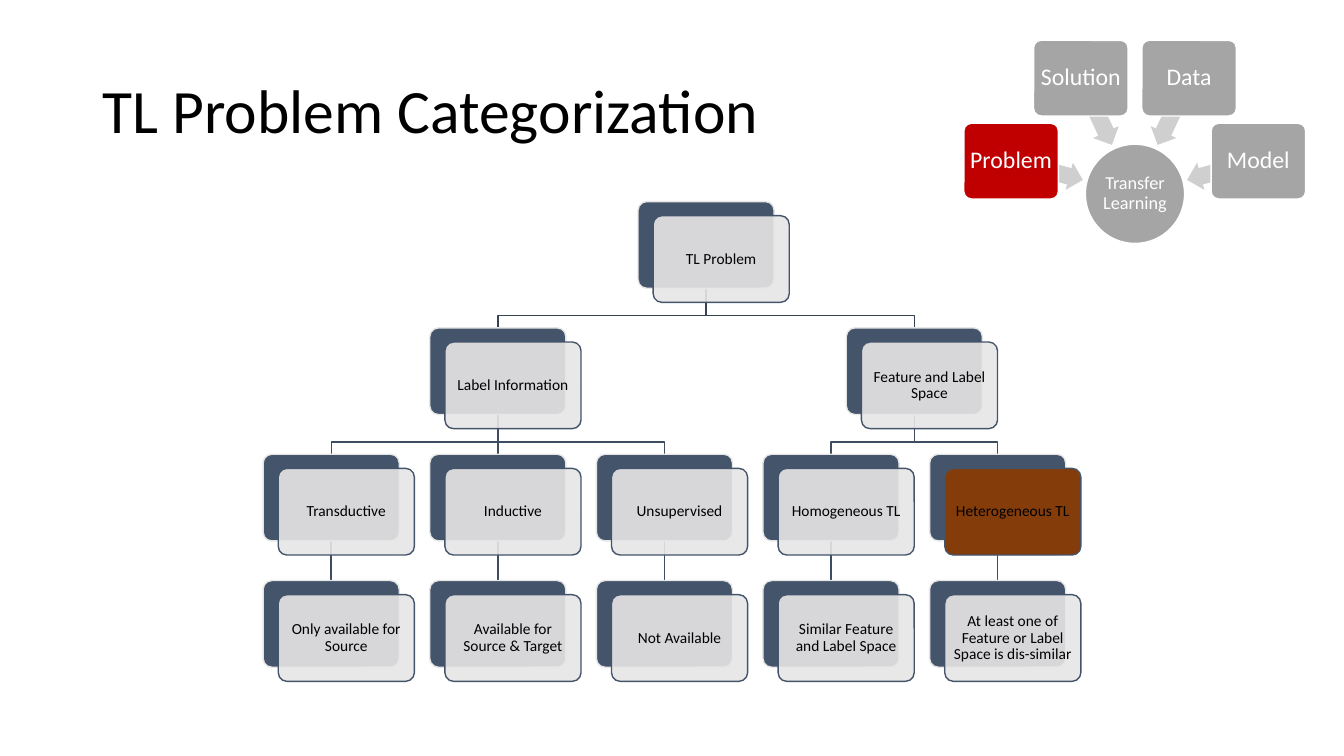
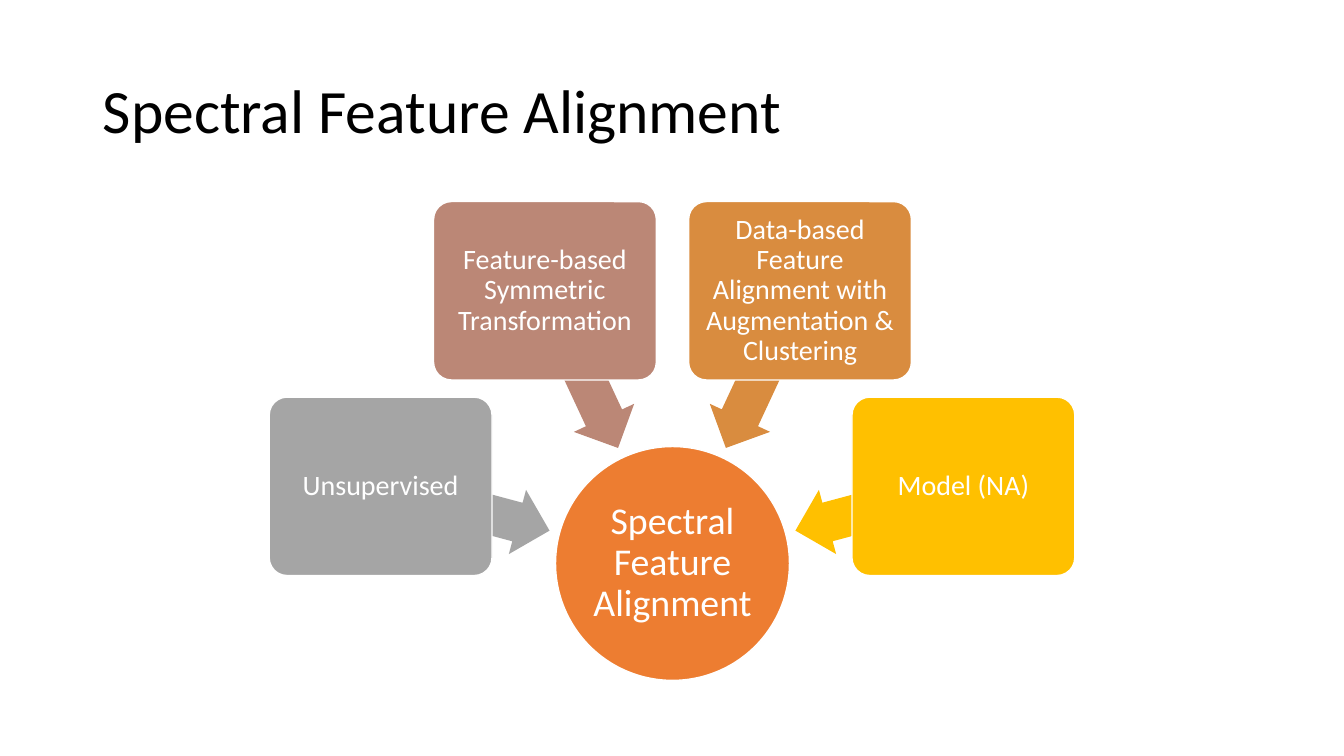
import lxml.etree
import pptx
import pptx.dml.color
import pptx.enum.shapes
import pptx.enum.text
import pptx.oxml.ns
import pptx.util

Inches = pptx.util.Inches
SHAPES = pptx.enum.shapes.MSO_SHAPE
ALIGN = pptx.enum.text.PP_ALIGN

FONT = "Calibri"
COLORS = {
    "black": "000000", "white": "FFFFFF", "slate": "44546A", "mist": "E7E6E6",
    "root_link": "364355", "link": "3E4C60", "brown": "843C0B",
    "red": "C00000", "gray": "A5A5A5", "pale": "CFCFCF",
    "orange": "ED7D31", "rose": "BB8776", "amber": "D98C3F", "gold": "FFC000",
}

# Tree nodes: column, row, label; the column may lie between two leaves
TREE_NODES = {
    "root": (2.25, 0, "TL Problem"),
    "label": (1, 1, "Label Information"),
    "space": (3.5, 1, "Feature and Label Space"),
    "transductive": (0, 2, "Transductive"),
    "inductive": (1, 2, "Inductive"),
    "unsupervised": (2, 2, "Unsupervised"),
    "homogeneous": (3, 2, "Homogeneous TL"),
    "heterogeneous": (4, 2, "Heterogeneous TL"),
    "source": (0, 3, "Only available for Source"),
    "both": (1, 3, "Available for Source & Target"),
    "none": (2, 3, "Not Available"),
    "similar": (3, 3, "Similar Feature and Label Space"),
    "dissimilar": (4, 3, "At least one of Feature or Label Space is dis-similar"),
}
TREE_LINKS = {
    "root": ["label", "space"],
    "label": ["transductive", "inductive", "unsupervised"],
    "space": ["homogeneous", "heterogeneous"],
    "transductive": ["source"],
    "inductive": ["both"],
    "unsupervised": ["none"],
    "homogeneous": ["similar"],
    "heterogeneous": ["dissimilar"],
}

# Radial diagram at full width: card corner, arrow corner, arrow rotation
RADIAL_WIDTH = 7.99
RADIAL_SPOTS = [
    ((0, 1.94), (1.08, 2.71), 195),
    ((1.63, 0), (2.23, 1.33), 245),
    ((4.16, 0), (4.03, 1.33), 295),
    ((5.78, 1.94), (5.19, 2.71), 345),
]


def rgb(name):
    return pptx.dml.color.RGBColor.from_string(COLORS[name])


def write_text(frame, text, size, color, align):
    frame.word_wrap = True
    frame.auto_size = pptx.enum.text.MSO_AUTO_SIZE.NONE
    frame.vertical_anchor = pptx.enum.text.MSO_ANCHOR.MIDDLE
    para = frame.paragraphs[0]
    para.alignment = align
    para.line_spacing = 0.9
    span = para.add_run()
    span.text = text
    span.font.name = FONT
    span.font.size = pptx.util.Pt(size)
    span.font.color.rgb = rgb(color)


def set_line(shape, color):
    shape.line.color.rgb = rgb(color)
    shape.line.width = pptx.util.Pt(1)


def add_block(page, kind, box, fill, line=None, adjust=()):
    block = page.shapes.add_shape(kind, *[Inches(value) for value in box])
    block.shadow.inherit = False
    block.fill.solid()
    block.fill.fore_color.rgb = rgb(fill)
    if line:
        set_line(block, line)
    else:
        block.line.fill.background()
    for index, value in enumerate(adjust):
        block.adjustments[index] = value
    return block


def add_label(block, text, size, color, margin):
    frame = block.text_frame
    frame.margin_left = frame.margin_right = Inches(margin)
    frame.margin_top = frame.margin_bottom = Inches(margin)
    write_text(frame, text, size, color, ALIGN.CENTER)


def set_opacity(shape, percent):
    color = shape.fill._xPr.find(".//" + pptx.oxml.ns.qn("a:srgbClr"))
    alpha = lxml.etree.SubElement(color, pptx.oxml.ns.qn("a:alpha"))
    alpha.set("val", str(percent * 1000))


def add_titled_page(deck, text):
    page = deck.slides.add_slide(deck.slide_layouts[5])
    title = page.shapes.title
    title.left, title.top = Inches(0.92), Inches(0.4)
    title.width, title.height = Inches(11.5), Inches(1.45)
    write_text(title.text_frame, text, 44, "black", ALIGN.LEFT)
    return page


def add_link(page, start, end, color):
    (x1, y1), (x2, y2) = start, end
    if x1 == x2:
        link = page.shapes.add_connector(
            pptx.enum.shapes.MSO_CONNECTOR.STRAIGHT,
            Inches(x1), Inches(y1), Inches(x2), Inches(y2))
        lxml.etree.SubElement(link._element.spPr, pptx.oxml.ns.qn("a:effectLst"))
        set_line(link, color)
        return
    bend = y1 + 0.69 * (y2 - y1)
    outline = page.shapes.build_freeform(Inches(x1), Inches(y1))
    corners = [(x1, bend), (x2, bend), (x2, y2)]
    outline.add_line_segments(
        [(Inches(x), Inches(y)) for x, y in corners], close=False)
    link = outline.convert_to_shape()
    link.shadow.inherit = False
    link.fill.background()
    set_line(link, color)


def add_tree(page, left, top, width, height):
    card_width, card_height = 1.35, 0.86
    shift_x, shift_y = 0.15, 0.14
    step_x = (width - card_width - shift_x) / 4
    step_y = (height - card_height - shift_y) / 3
    corners = {name: (left + column * step_x, top + row * step_y)
               for name, (column, row, _) in TREE_NODES.items()}

    # Links lie behind the cards
    for parent, children in TREE_LINKS.items():
        x, y = corners[parent]
        start = (x + card_width / 2, y + card_height)
        for child in children:
            child_x, child_y = corners[child]
            add_link(page, start, (child_x + card_width / 2, child_y),
                     "root_link" if parent == "root" else "link")

    # Each node is a dark card with a translucent one in front
    for name, (x, y) in corners.items():
        add_block(page, SHAPES.ROUNDED_RECTANGLE,
                  (x, y, card_width, card_height), "slate", "mist", [0.1])
        marked = name == "heterogeneous"
        front = add_block(
            page, SHAPES.ROUNDED_RECTANGLE,
            (x + shift_x, y + shift_y, card_width, card_height),
            "brown" if marked else "mist", "slate", [0.1])
        if not marked:
            set_opacity(front, 90)
        add_label(front, TREE_NODES[name][2], 11, "black", 0.05)


def add_radial(page, left, top, width, hub, cards, card_size):
    """hub: text, size, fill; cards: text, fill, arrow fill."""
    scale = width / RADIAL_WIDTH

    def place(corner, size):
        return (left + corner[0] * scale, top + corner[1] * scale,
                size[0] * scale, size[1] * scale)

    # Central circle
    text, size, fill = hub
    circle = add_block(page, SHAPES.OVAL, place((2.84, 2.43), (2.32, 2.32)),
                       fill, "white")
    add_label(circle, text, size, "white", 0.01)

    # Cards, each over the tail of its arrow
    for spot, (text, fill, arrow_fill) in zip(RADIAL_SPOTS, cards):
        card_corner, arrow_corner, rotation = spot
        arrow = add_block(page, SHAPES.LEFT_ARROW,
                          place(arrow_corner, (1.73, 0.66)), arrow_fill,
                          adjust=[0.6, 0.5])
        arrow.rotation = rotation
        card = add_block(page, SHAPES.ROUNDED_RECTANGLE,
                         place(card_corner, (2.21, 1.77)), fill, "white", [0.1])
        add_label(card, text, card_size, "white", 0.03)


def add_categories_page(deck):
    page = add_titled_page(deck, "TL Problem Categorization")
    add_tree(page, 2.61, 2, 8.11, 4.76)
    add_radial(page, 9.56, 0.4, 3.39, ("Transfer Learning", 13, "gray"), [
        ("Problem", "red", "pale"),
        ("Solution", "gray", "pale"),
        ("Data", "gray", "pale"),
        ("Model", "gray", "pale"),
    ], 17)


def add_alignment_page(deck):
    page = add_titled_page(deck, "Spectral Feature Alignment")
    hub = ("Spectral Feature Alignment", 27, "orange")
    add_radial(page, 2.67, 2, RADIAL_WIDTH, hub, [
        ("Unsupervised", "gray", "gray"),
        ("Feature-based Symmetric Transformation", "rose", "rose"),
        ("Data-based Feature Alignment with Augmentation & Clustering",
         "amber", "amber"),
        ("Model (NA)", "gold", "gold"),
    ], 20)


def main():
    deck = pptx.Presentation()
    deck.slide_width, deck.slide_height = Inches(13.33), Inches(7.5)
    add_categories_page(deck)
    add_alignment_page(deck)
    deck.save("out.pptx")


if __name__ == "__main__":
    main()
